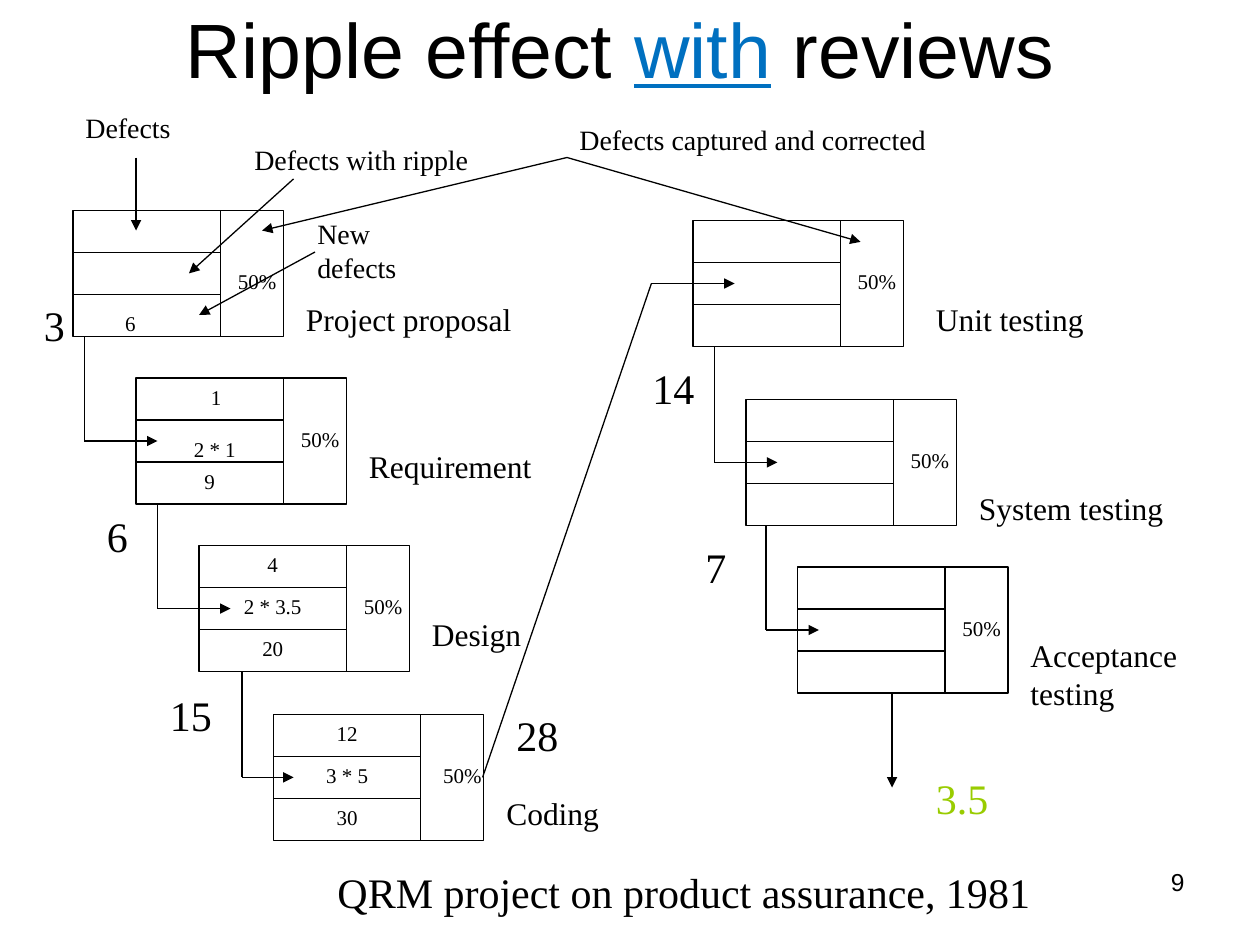
from lxml.etree import SubElement
from pptx import Presentation
from pptx.dml.color import RGBColor
from pptx.enum.shapes import MSO_CONNECTOR as Connector, MSO_SHAPE as Shape
from pptx.enum.text import MSO_ANCHOR as Anchor, PP_ALIGN as Align
from pptx.oxml.ns import qn
from pptx.util import Inches, Pt

BLACK = RGBColor(0x00, 0x00, 0x00)
BLUE = RGBColor(0x00, 0x70, 0xC0)
GREEN = RGBColor(0x99, 0xCC, 0x00)
SERIF, SANS = "Times New Roman", "Arial"

BOX_WIDTH, BOX_HEIGHT = 1.67, 1.0
CELL_WIDTH, ROW_HEIGHT = 1.17, BOX_HEIGHT / 3
TEXT_HEIGHT = {12: 0.3, 14: 0.52, 16: 0.37, 18: 0.4, 24: 0.5}

# left, top, name, (name left, top, width), rows of (text, shift right, shift down),
# shift of the percentage (right, down)
PHASES = [
    (0.58, 1.67, "Project proposal", (2.33, 2.33, 2.42),
     [("", 0, 0), ("", 0, 0), ("6", -0.13, 0.08)], (0, 0.08)),
    (1.08, 3, "Requirement", (2.83, 3.5, 1.5),
     [("1", 0.05, 0), ("2 * 1", 0.04, 0.08), ("9", 0, 0)], (0, 0)),
    (1.58, 4.33, "Design", (3.33, 4.83, 1.67),
     [("4", 0, 0), ("2 * 3.5", 0, 0), ("20", 0, 0)], (0, 0)),
    (2.17, 5.67, "Coding", (3.92, 6.25, 1.17),
     [("12", 0, 0), ("3 * 5", 0, 0), ("30", 0, 0)], (0.04, 0)),
    (5.5, 1.75, "Unit testing", (7.33, 2.33, 2.17), [], (0, 0)),
    (5.92, 3.17, "System testing", (7.67, 3.83, 2.33), [], (0, 0)),
    (6.33, 4.5, "Acceptance testing", (8.08, 5, 1.67), [], (0, 0)),
]

# each arrow ends at its last point
ARROWS = [
    [(1.08, 1.25), (1.08, 1.83)],
    [(2.33, 1.42), (1.5, 2.17)],
    [(2.5, 2), (1.58, 2.5)],
    [(4.5, 1.25), (2.08, 1.83)],
    [(4.5, 1.25), (6.83, 1.92)],
    [(0.67, 2.67), (0.67, 3.5), (1.25, 3.5)],
    [(1.25, 4), (1.25, 4.83), (1.83, 4.83)],
    [(1.92, 5.33), (1.92, 6.17), (2.33, 6.17)],
    [(3.83, 6.17), (5.17, 2.25), (5.83, 2.25)],
    [(5.67, 2.75), (5.67, 3.67), (6.17, 3.67)],
    [(6.08, 4.17), (6.08, 5), (6.5, 5)],
    [(7.08, 5.5), (7.08, 6.25)],
]

CALLOUTS = [
    ("Defects", 0.58, 0.83, 2),
    ("Defects with ripple", 1.92, 1.08, 2.08),
    ("New defects", 2.42, 1.67, 1.2),
    ("Defects captured and corrected", 4.5, 0.92, 3.92),
]

DEFECT_COUNTS = [
    ("3", 0.25, 2.33, 0.33, BLACK),
    ("6", 0.75, 4, 0.58, BLACK),
    ("15", 1.25, 5.42, 0.67, BLACK),
    ("28", 4, 5.58, 0.75, BLACK),
    ("14", 5.08, 2.83, 0.58, BLACK),
    ("7", 5.5, 4.25, 0.58, BLACK),
    ("3.5", 7.33, 6.08, 0.83, GREEN),
]


def style(span, size, font, color=BLACK):
    span.font.size = Pt(size)
    span.font.name = font
    span.font.color.rgb = color


def add_text(page, text, left, top, width, size, align=Align.LEFT, font=SERIF, color=BLACK):
    box = page.shapes.add_textbox(
        Inches(left), Inches(top), Inches(width), Inches(TEXT_HEIGHT[size]))
    box.text_frame.word_wrap = True
    para = box.text_frame.paragraphs[0]
    para.text = text
    para.alignment = align
    style(para.runs[0], size, font, color)


def add_line(page, start, end, arrow=False):
    line = page.shapes.add_connector(
        Connector.STRAIGHT, *(Inches(value) for value in (*start, *end)))
    line.line.color.rgb = BLACK
    line.line.width = Pt(0.75)
    if arrow:
        SubElement(line.line._get_or_add_ln(), qn("a:tailEnd"), type="triangle")
    SubElement(line._element.spPr, qn("a:effectLst"))


def add_arrow(page, points):
    """Join the points with lines; the last line carries the arrowhead."""
    for index in range(1, len(points)):
        add_line(page, points[index - 1], points[index], index == len(points) - 1)


def add_title(page, left, top, width, height):
    box = page.shapes.add_textbox(Inches(left), Inches(top), Inches(width), Inches(height))
    frame = box.text_frame
    frame.word_wrap = True
    frame.vertical_anchor = Anchor.MIDDLE
    para = frame.paragraphs[0]
    para.alignment = Align.CENTER
    for text, color in (("Ripple effect ", BLACK), ("with", BLUE), (" reviews", BLACK)):
        span = para.add_run()
        span.text = text
        style(span, 44, SANS, color)
        span.font.underline = color == BLUE


def add_phase(page, left, top, name, name_box, rows, percent_shift):
    """Draw a box of three rows and a column for the share of defects captured."""
    box = page.shapes.add_shape(
        Shape.RECTANGLE, Inches(left), Inches(top), Inches(BOX_WIDTH), Inches(BOX_HEIGHT))
    box.shadow.inherit = False
    box.fill.background()
    box.line.color.rgb = BLACK
    box.line.width = Pt(0.75)

    divider = left + CELL_WIDTH
    add_line(page, (divider, top), (divider, top + BOX_HEIGHT))
    for row in (1, 2):
        y = top + row * ROW_HEIGHT
        add_line(page, (left, y), (divider, y))
    for row, (text, right, down) in enumerate(rows):
        if text:
            add_text(page, text, left + right, top + row * ROW_HEIGHT + down,
                     CELL_WIDTH, 12, Align.CENTER)
    right, down = percent_shift
    add_text(page, "50%", divider + right, top + ROW_HEIGHT + down, 0.58, 12, Align.CENTER)
    add_text(page, name, *name_box, 18)


def main():
    deck = Presentation()
    deck.slide_width, deck.slide_height = Inches(10), Inches(7.5)
    page = deck.slides.add_slide(deck.slide_layouts[6])

    add_title(page, 0.67, 0, 8.5, 0.75)
    for phase in PHASES:
        add_phase(page, *phase)
    for points in ARROWS:
        add_arrow(page, points)
    for callout in CALLOUTS:
        add_text(page, *callout, 16)
    for text, left, top, width, color in DEFECT_COUNTS:
        add_text(page, text, left, top, width, 24, color=color)
    add_text(page, "QRM project on product assurance, 1981", 2.58, 6.83, 6.08, 24)
    add_text(page, "9", 7.17, 6.83, 2.33, 14, Align.RIGHT, SANS)

    deck.save("out.pptx")


if __name__ == "__main__":
    main()
